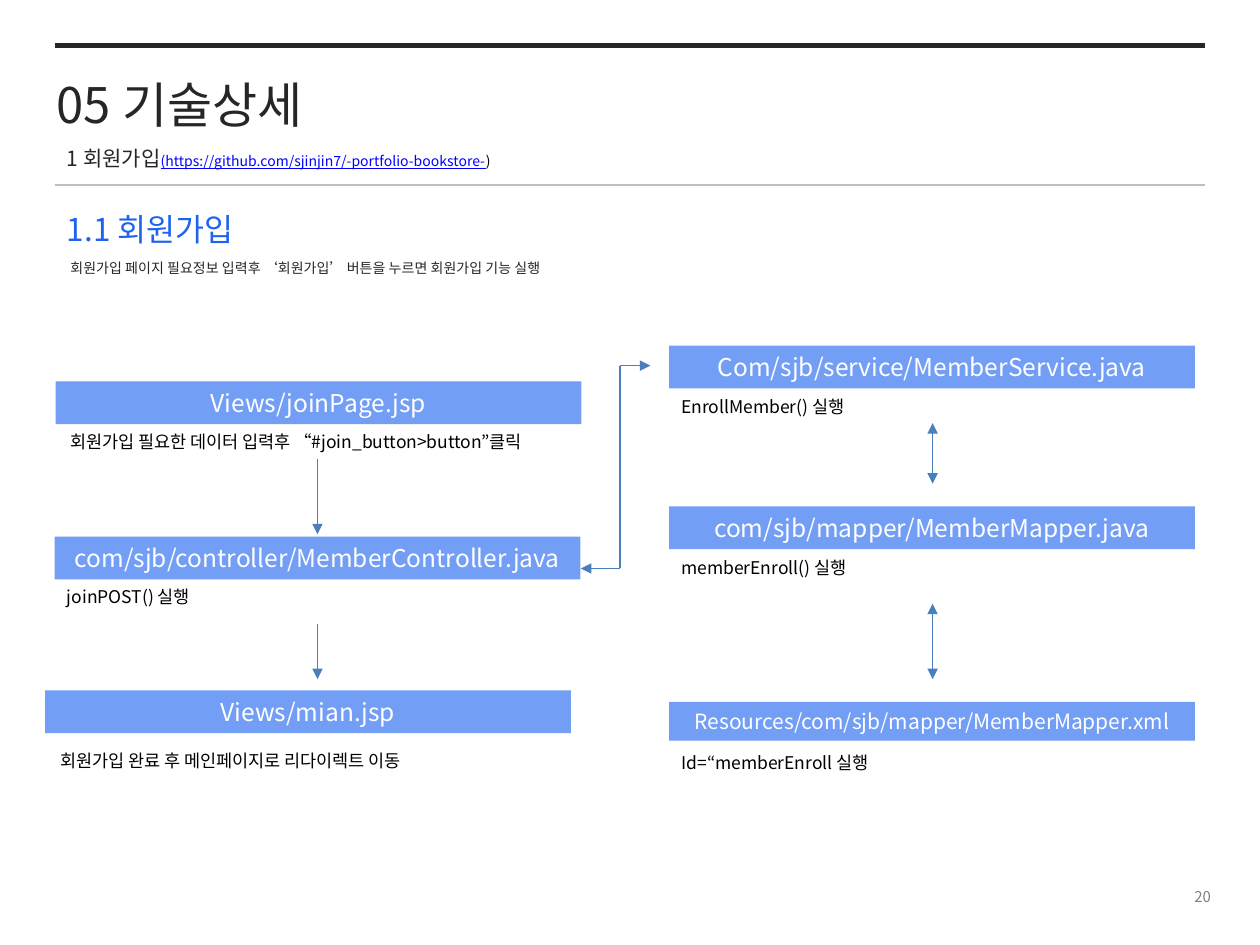
from lxml import etree
from pptx import Presentation
from pptx.dml.color import RGBColor
from pptx.enum.shapes import MSO_CONNECTOR, MSO_SHAPE
from pptx.enum.text import MSO_ANCHOR, MSO_AUTO_SIZE, PP_ALIGN
from pptx.oxml.ns import qn
from pptx.util import Cm, Pt

LEFT, CENTER, RIGHT = PP_ALIGN.LEFT, PP_ALIGN.CENTER, PP_ALIGN.RIGHT
TOP, MIDDLE = MSO_ANCHOR.TOP, MSO_ANCHOR.MIDDLE
RECT, STRAIGHT = MSO_SHAPE.RECTANGLE, MSO_CONNECTOR.STRAIGHT
FONT = "Noto Sans CJK KR"
DARK, BLUE, BAR, ARROW = "262626", "1D62F0", "739EF6", "4B7EBC"


def rgb(value):
    return RGBColor.from_string(value)


def write(sp, text, size, color, align=LEFT, anchor=TOP):
    tf = sp.text_frame
    tf.word_wrap = True
    tf.auto_size = MSO_AUTO_SIZE.NONE
    tf.vertical_anchor = anchor
    tf.margin_top = tf.margin_bottom = Cm(0.13)
    p = tf.paragraphs[0]
    p.alignment = align
    p.line_spacing = Pt(round(size * 1.2, 1))
    p.font.name = FONT
    p.font.size = Pt(size)
    p.font.color.rgb = rgb(color)
    etree.SubElement(p._p.pPr.find(qn("a:defRPr")), qn("a:ea"), typeface=FONT)
    p.add_run().text = text
    return p


prs = Presentation()
prs.slide_width, prs.slide_height = Cm(25.4), Cm(19.05)
s = prs.slides.add_slide(prs.slide_layouts[5])

title = s.shapes.title
title.left, title.top, title.width, title.height = Cm(0.89), Cm(1.37), Cm(19.2), Cm(1.45)
write(title, "05 기술상세", 28, DARK)

sp = s.shapes.add_textbox(Cm(1.1), Cm(2.74), Cm(19.2), Cm(1.35))
p = write(sp, "1 회원가입", 12, DARK)
p.line_spacing = Pt(16)
for text, color, underline in [
    ("(https://github.com/sjinjin7/-portfolio-bookstore-", "0000FF", True),
    (")", "000000", False),
]:
    r = p.add_run()
    r.text = text
    r.font.size = Pt(8)
    r.font.color.rgb = rgb(color)
    r.font.underline = underline

labels = [
    (1.1, 4.11, 15.8, 1.02, "1.1 회원가입", 18, BLUE),
    (1.17, 5.11, 15.8, 0.61, "회원가입 페이지 필요정보 입력후 ‘회원가입’ 버튼을 누르면 회원가입 기능 실행", 8, DARK),
    (1.17, 8.56, 10.6, 0.69, "회원가입 필요한 데이터 입력후 “#join_button>button”클릭", 10, "000000"),
    (1.1, 11.68, 10.6, 0.69, "joinPOST() 실행", 10, "000000"),
    (0.97, 14.99, 10.6, 0.69, "회원가입 완료 후 메인페이지로 리다이렉트 이동", 10, "000000"),
    (13.49, 7.85, 10.6, 0.69, "EnrollMember() 실행", 10, "000000"),
    (13.49, 11.1, 10.6, 0.69, "memberEnroll() 실행", 10, "000000"),
    (13.49, 15.04, 10.6, 0.69, "Id=“memberEnroll 실행", 10, "000000"),
]
for x, y, w, h, text, size, color in labels:
    sp = s.shapes.add_textbox(Cm(x), Cm(y), Cm(w), Cm(h))
    write(sp, text, size, color)

bars = [
    (1.12, 7.69, 0.86, "Views/joinPage.jsp", 14),
    (1.1, 10.82, 0.86, "com/sjb/controller/MemberController.java", 14),
    (0.91, 13.92, 0.86, "Views/mian.jsp", 14),
    (13.49, 6.97, 0.86, "Com/sjb/service/MemberService.java", 14),
    (13.49, 10.21, 0.86, "com/sjb/mapper/MemberMapper.java", 14),
    (13.49, 14.15, 0.78, "Resources/com/sjb/mapper/MemberMapper.xml", 12),
]
for x, y, h, text, size in bars:
    sp = s.shapes.add_shape(RECT, Cm(x), Cm(y), Cm(10.6), Cm(h))
    sp.shadow.inherit = False
    sp.fill.solid()
    sp.fill.fore_color.rgb = rgb(BAR)
    sp.line.fill.background()
    sp.text_frame.margin_left = sp.text_frame.margin_right = 0
    write(sp, text, size, "FFFFFF", CENTER)

lines = [
    (1.1, 0.91, 24.3, 0.91, DARK, 3, []),
    (1.1, 3.73, 24.3, 3.73, "BFBFBF", 0.75, []),
    (6.4, 9.25, 6.4, 10.77, ARROW, 0.75, ["tailEnd"]),
    (6.4, 12.57, 6.4, 13.69, ARROW, 0.75, ["tailEnd"]),
    (12.5, 7.37, 12.5, 11.46, ARROW, 0.75, []),
    (12.5, 11.46, 11.71, 11.46, ARROW, 0.75, ["tailEnd"]),
    (12.5, 7.37, 13.11, 7.37, ARROW, 0.75, ["tailEnd"]),
    (18.8, 8.53, 18.8, 9.75, ARROW, 0.75, ["headEnd", "tailEnd"]),
    (18.8, 12.17, 18.8, 13.69, ARROW, 0.75, ["headEnd", "tailEnd"]),
]
for x1, y1, x2, y2, color, width, ends in lines:
    c = s.shapes.add_connector(STRAIGHT, Cm(x1), Cm(y1), Cm(x2), Cm(y2))
    c.line.color.rgb = rgb(color)
    c.line.width = Pt(width)
    for end in ends:
        etree.SubElement(c.line._get_or_add_ln(), qn("a:" + end), type="triangle")
    etree.SubElement(c._element.spPr, qn("a:effectLst"))

sp = s.shapes.add_textbox(Cm(19.3), Cm(17.73), Cm(5.36), Cm(0.69))
write(sp, "20", 8.5, "808080", RIGHT, MIDDLE)

prs.save("out.pptx")
